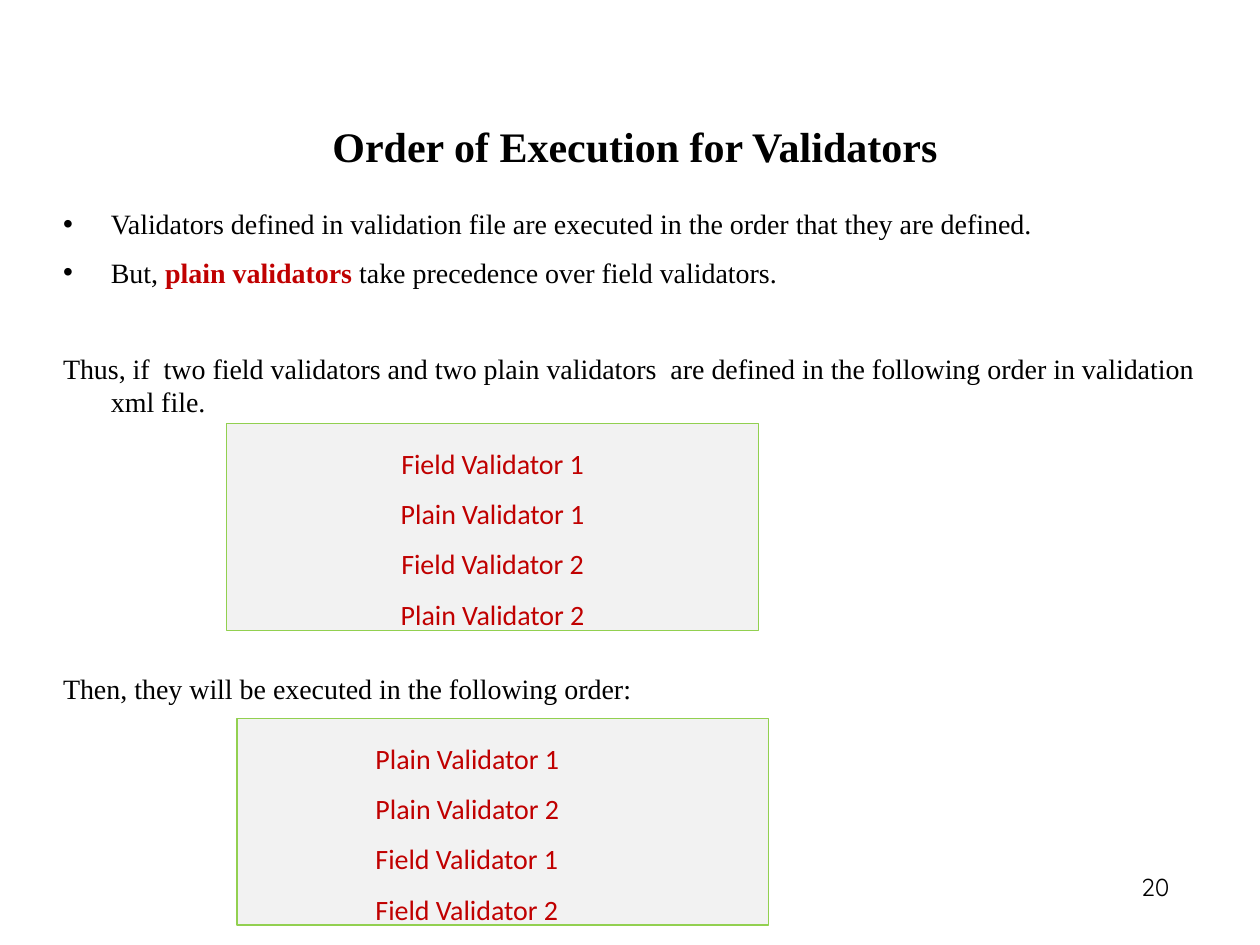
"""Builds the slide on the order in which validators run."""
from lxml.etree import SubElement
from pptx import Presentation
from pptx.dml.color import RGBColor
from pptx.enum.shapes import MSO_SHAPE
from pptx.enum.text import MSO_ANCHOR as Anchor, MSO_AUTO_SIZE as AutoSize, PP_ALIGN as Align
from pptx.oxml.ns import qn
from pptx.util import Inches, Pt

BLACK = RGBColor(0x00, 0x00, 0x00)
RED = RGBColor(0xC0, 0x00, 0x00)
GREEN = RGBColor(0x92, 0xD0, 0x50)
PALE_GREY = RGBColor(0xF2, 0xF2, 0xF2)
SERIF = "Times New Roman"
SLIDE_WIDTH, SLIDE_HEIGHT = Inches(10), Inches(7.5)
MARGIN, CONTENT_WIDTH = 0.05, 0.908
BOX_WIDTH, BOX_HEIGHT = 0.422, 0.219
HANGING = Inches(0.38)

BODY = [
    (8, True, ["Validators defined in validation file are executed in the order that they are defined."]),
    (8.5, True, ["But, ", "plain validators ", "take precedence over field validators."]),
    (35.5, False, ["Thus, if  two field validators and two plain validators  are defined "
                   "in the following order in validation xml file."]),
    (145, False, ["Then, they will be executed in the following order:"]),
]
DEFINED_ORDER = ["Field Validator 1", "Plain Validator 1", "Field Validator 2", "Plain Validator 2"]
EXECUTED_ORDER = sorted(DEFINED_ORDER, key=lambda name: name.startswith("Field"))


def place(shape, left, top, width, height):
    """Place a shape by shares of the slide's size."""
    shape.left, shape.width = int(left * SLIDE_WIDTH), int(width * SLIDE_WIDTH)
    shape.top, shape.height = int(top * SLIDE_HEIGHT), int(height * SLIDE_HEIGHT)


def style(font, name, size, color, bold=False):
    """Set the typeface, size, colour and weight of a font."""
    font.name, font.size, font.bold = name, Pt(size), bold
    font.color.rgb = color


def set_hanging(paragraph, bulleted):
    """Give a paragraph a hanging indent, with or without a bullet."""
    properties = paragraph._p.get_or_add_pPr()
    properties.set("marL", str(HANGING))
    properties.set("indent", str(-HANGING))
    if bulleted:
        SubElement(properties, qn("a:buFont")).set("typeface", "Arial")
        SubElement(properties, qn("a:buChar")).set("char", "•")
    else:
        SubElement(properties, qn("a:buNone"))


def fill_title(title, text):
    """Write the centred slide title."""
    place(title, MARGIN, 0.121, CONTENT_WIDTH, 0.067)
    frame = title.text_frame
    frame.text = text
    frame.auto_size, frame.vertical_anchor = AutoSize.NONE, Anchor.MIDDLE
    paragraph = frame.paragraphs[0]
    paragraph.alignment = Align.CENTER
    style(paragraph.font, SERIF, 24, BLACK, bold=True)


def fill_body(body):
    """Write the bullets and the two lead-in sentences."""
    place(body, MARGIN, 0.219, CONTENT_WIDTH, 0.715)
    frame = body.text_frame
    frame.auto_size, frame.vertical_anchor = AutoSize.NONE, Anchor.TOP
    frame.margin_left = frame.margin_right = frame.margin_top = frame.margin_bottom = 0
    for index, (space, bulleted, parts) in enumerate(BODY):
        paragraph = frame.add_paragraph() if index else frame.paragraphs[0]
        paragraph.space_before = Pt(space)
        set_hanging(paragraph, bulleted)
        for position, part in enumerate(parts):
            run = paragraph.add_run()
            run.text = part
            emphasis = position == 1
            style(run.font, SERIF, 16, RED if emphasis else BLACK, emphasis)


def add_order_box(slide, left, top, names, alignment, inset=0.1):
    """Add a framed list of validators, one a line."""
    box = slide.shapes.add_shape(MSO_SHAPE.RECTANGLE, 0, 0, 0, 0)
    place(box, left, top, BOX_WIDTH, BOX_HEIGHT)
    box.shadow.inherit = False
    box.fill.solid()
    box.fill.fore_color.rgb = PALE_GREY
    box.line.color.rgb = GREEN
    box.line.width = Pt(0.75)
    frame = box.text_frame
    frame.text = "\n".join(names)
    frame.vertical_anchor = Anchor.TOP
    frame.margin_left = Inches(inset)
    for paragraph in frame.paragraphs:
        paragraph.alignment, paragraph.line_spacing = alignment, 1.5
        style(paragraph.font, "Calibri", 16, RED)


def add_page_number(slide, number):
    """Add the page number at the lower right."""
    box = slide.shapes.add_textbox(0, 0, 0, 0)
    place(box, 0.89, 0.901, 0.054, 0.081)
    frame = box.text_frame
    frame.word_wrap = True
    frame.text = number
    paragraph = frame.paragraphs[0]
    paragraph.alignment, paragraph.line_spacing = Align.CENTER, 1.5
    style(paragraph.font, "Quicksand", 14, BLACK)


def main():
    """Build and save the presentation."""
    presentation = Presentation()
    presentation.slide_width, presentation.slide_height = SLIDE_WIDTH, SLIDE_HEIGHT
    slide = presentation.slides.add_slide(presentation.slide_layouts[1])
    fill_title(slide.shapes.title, "Order of Execution for Validators")
    fill_body(slide.placeholders[1])
    add_order_box(slide, 0.18, 0.448, DEFINED_ORDER, Align.CENTER)
    add_order_box(slide, 0.188, 0.76, EXECUTED_ORDER, Align.LEFT, inset=1.1)
    add_page_number(slide, "20")
    presentation.save("out.pptx")


if __name__ == "__main__":
    main()
